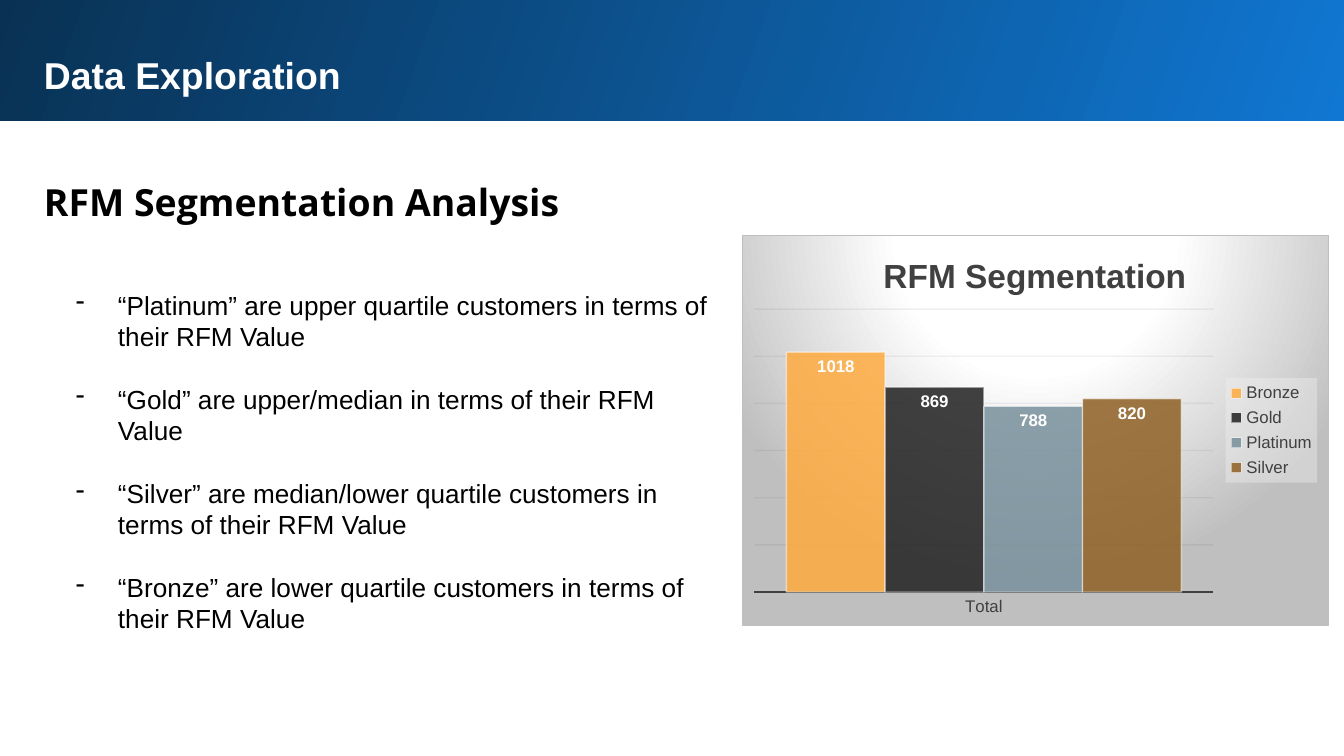
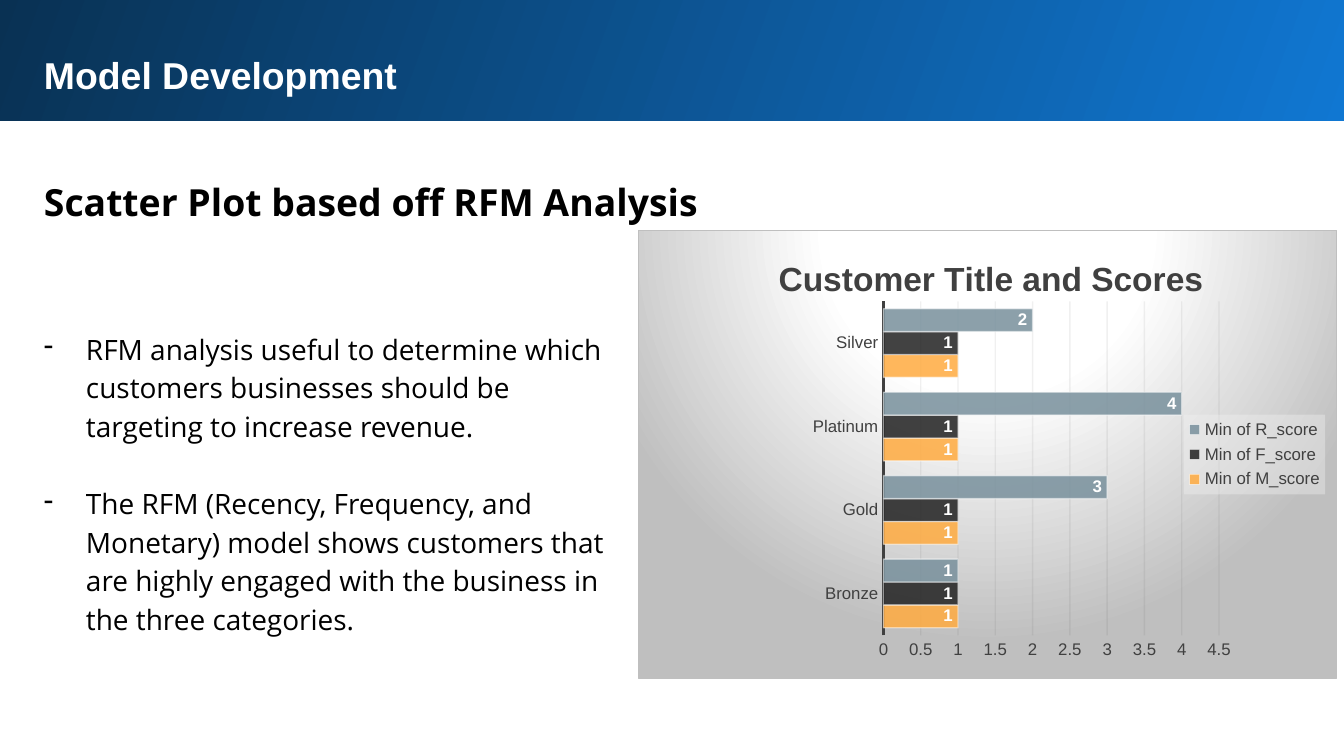
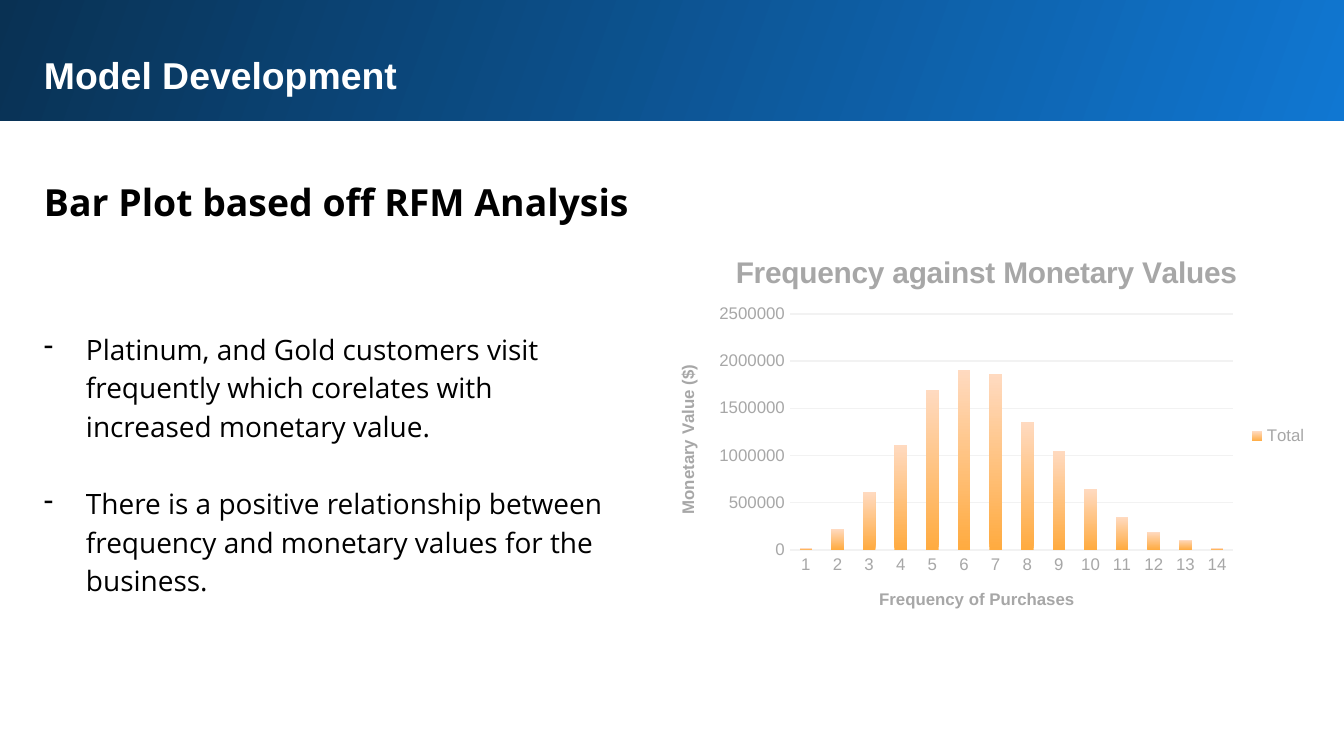
from dataclasses import dataclass

from pptx import Presentation
from pptx.chart.data import CategoryChartData
from pptx.dml.color import RGBColor
from pptx.enum.chart import XL_CHART_TYPE, XL_LABEL_POSITION, XL_LEGEND_POSITION, XL_TICK_MARK
from pptx.enum.shapes import MSO_SHAPE
from pptx.oxml import parse_xml
from pptx.oxml.ns import nsdecls
from pptx.util import Emu, Pt

COLUMN = XL_CHART_TYPE.COLUMN_CLUSTERED
BAR = XL_CHART_TYPE.BAR_CLUSTERED
INSIDE_END = XL_LABEL_POSITION.INSIDE_END
LEGEND_RIGHT = XL_LEGEND_POSITION.RIGHT
NO_TICK = XL_TICK_MARK.NONE
RECTANGLE = MSO_SHAPE.RECTANGLE

SCALE = 914400 / 134.4
WIDTH, HEIGHT = 1344, 756


def px(length):
    return Emu(round(length * SCALE))


def rgb(color):
    return RGBColor.from_string(color)


@dataclass(frozen=True)
class Theme:
    sans: str = "Arial"
    open_sans: str = "Open Sans"
    white: str = "FFFFFF"
    black: str = "000000"
    band_light: str = "1077D2"
    band_dark: str = "093153"
    dark_gray: str = "404040"
    light_gray: str = "A7A7A7"
    faint: str = "F2F2F2"
    grid: str = "0D0D0D"
    edge: str = "BFBFBF"
    orange: str = "FFAB40"
    peach: str = "FFDAC0"
    charcoal: str = "212121"
    slate: str = "78909C"
    brown: str = "8F6024"
    heading_size: float = 20
    body_size: float = 15
    small_body_size: float = 14
    chart_title_size: float = 18
    small_chart_title_size: float = 16
    chart_size: float = 10
    label_size: float = 9


THEME = Theme()


class Deck:
    def __init__(self, theme):
        self.theme = theme
        self.presentation = Presentation()
        self.presentation.slide_width = px(WIDTH)
        self.presentation.slide_height = px(HEIGHT)
        self.slide = None

    def start_slide(self, title, heading):
        theme = self.theme
        self.slide = self.presentation.slides.add_slide(self.presentation.slide_layouts[6])
        self.band()
        self.text((31, 39, 1259, 69), [title], theme.sans, theme.heading_size, theme.white, bold=True)
        self.text((31, 159, 1259, 75), [heading], theme.open_sans, theme.heading_size,
                  theme.black, bold=True, spacing=1.15)

    def band(self):
        shape = self.slide.shapes.add_shape(RECTANGLE, px(-3), px(-3), px(1351), px(124))
        shape.shadow.inherit = False
        shape.line.fill.background()
        self.gradient(shape.fill, self.theme.band_light, self.theme.band_dark, 160)

    def gradient(self, fill, first, last, angle):
        fill.gradient()
        fill.gradient_angle = angle
        for stop, color, position in zip(fill.gradient_stops, (first, last), (0, 1)):
            stop.color.rgb = rgb(color)
            stop.position = position

    def font(self, font, size, color, bold=False, name=None):
        font.name = name or self.theme.sans
        font.size = Pt(size)
        font.bold = bold
        font.color.rgb = rgb(color)

    def text(self, box, lines, name, size, color, bold=False, spacing=1.0, gap=0, inset=13, bullet=None):
        frame = self.slide.shapes.add_textbox(*map(px, box)).text_frame
        frame.word_wrap = True
        frame.margin_left = frame.margin_right = frame.margin_top = frame.margin_bottom = px(inset)
        frame.text = "\n".join(lines)
        for index, paragraph in enumerate(frame.paragraphs):
            paragraph.line_spacing = spacing
            paragraph.space_before = Pt(gap if index else 0)
            self.font(paragraph.runs[0].font, size, color, bold, name)
            if bullet:
                properties = paragraph._p.get_or_add_pPr()
                properties.set("marL", str(px(42)))
                properties.set("indent", str(px(-42)))
                properties.append(parse_xml(f'<a:buChar {nsdecls("a")} char="{bullet}"/>'))

    def bullets(self, lines):
        self.text((31, 314, 607, 337), lines, self.theme.open_sans, self.theme.body_size,
                  self.theme.black, spacing=1.15, gap=20.7, bullet="-")

    def chart(self, kind, box, plot_box, categories, series, gap, text_color):
        data = CategoryChartData()
        data.categories = categories
        for name, values in series:
            data.add_series(name, values)
        chart = self.slide.shapes.add_chart(kind, *map(px, box), data).chart
        self.font(chart.font, self.theme.chart_size, self.theme.black)
        chart.has_legend = True
        chart.legend.position = LEGEND_RIGHT
        chart.legend.include_in_layout = False
        self.font(chart.legend.font, self.theme.label_size, text_color)
        plot = chart.plots[0]
        plot.gap_width = gap
        plot.overlap = 0
        plot.vary_by_categories = False
        self.place(chart, "c:chart/c:plotArea", box, plot_box, 0)
        return chart

    def place(self, chart, target, box, spot, index):
        left, top, width, height = box
        node = chart.element.xpath(target)[0]
        for layout in node.xpath("c:layout"):
            node.remove(layout)
        shares = [(spot[0] - left) / width, (spot[1] - top) / height]
        shares += [length / whole for length, whole in zip(spot[2:], (width, height))]
        inner = '<c:layoutTarget val="inner"/>' if len(spot) == 4 else ""
        modes = '<c:xMode val="edge"/><c:yMode val="edge"/>'
        sizes = "".join(f'<c:{key} val="{share:.3f}"/>' for key, share in zip("xywh", shares))
        node.insert(index, parse_xml(
            f'<c:layout {nsdecls("c")}><c:manualLayout>{inner}{modes}{sizes}</c:manualLayout></c:layout>'))

    def chart_title(self, chart, text, box, spot, size, color):
        chart.has_title = True
        self.title_text(chart.chart_title, text, size, color)
        self.place(chart, "c:chart/c:title", box, spot, 1)

    def title_text(self, title, text, size, color):
        title.text_frame.text = text
        self.font(title.text_frame.paragraphs[0].runs[0].font, size, color, bold=True)

    def axes(self, chart, maximum, unit, text_color, line_color, line_width, grid_color):
        category, value = chart.category_axis, chart.value_axis
        value.minimum_scale, value.maximum_scale, value.major_unit = 0, maximum, unit
        for axis in (category, value):
            axis.major_tick_mark = axis.minor_tick_mark = NO_TICK
            self.font(axis.tick_labels.font, self.theme.label_size, text_color)
        category.format.line.color.rgb = rgb(line_color)
        category.format.line.width = Pt(line_width)
        value.format.line.fill.background()
        value.has_major_gridlines = True
        value.major_gridlines.format.line.color.rgb = rgb(grid_color)
        value.major_gridlines.format.line.width = Pt(0.75)

    def axis_title(self, chart, axis, tag, text, box, spot):
        self.title_text(axis.axis_title, text, self.theme.label_size, self.theme.light_gray)
        self.place(chart, f".//c:{tag}/c:title", box, spot, 1)

    def background(self, chart, fill, line):
        chart.element.xpath("c:txPr")[0].addprevious(parse_xml(
            f'<c:spPr {nsdecls("c", "a")}>{fill}<a:ln w="9525">{line}</a:ln></c:spPr>'))

    def solid(self, color, alpha=100):
        return f'<a:solidFill><a:srgbClr val="{color}"><a:alpha val="{alpha * 1000}"/></a:srgbClr></a:solidFill>'

    def spotlight_chart(self, kind, box, plot_box, categories, series, colors, title, spot, maximum, unit):
        theme = self.theme
        chart = self.chart(kind, box, plot_box, categories, series, 65, theme.dark_gray)
        self.chart_title(chart, title, box, spot, theme.chart_title_size, theme.dark_gray)
        self.axes(chart, maximum, unit, theme.dark_gray, theme.dark_gray, 1.5, theme.grid)
        for entry, color in zip(chart.plots[0].series, colors):
            entry.invert_if_negative = False
            entry.format.fill.solid()
            entry.format.fill.fore_color.rgb = rgb(color)
            entry.format.line.color.rgb = rgb(theme.white)
            entry.format.line.width = Pt(0.75)
            labels = entry.data_labels
            labels.show_value = True
            labels.position = INSIDE_END
            self.font(labels.font, theme.label_size, theme.white, bold=True)
        for target, alpha in (("c:ser/c:spPr/a:solidFill", 85), ("c:ser/c:spPr/a:ln/a:solidFill", 50),
                              ("c:majorGridlines/c:spPr/a:ln/a:solidFill", 5)):
            for color in chart.element.xpath(f".//{target}/a:srgbClr"):
                color.append(parse_xml(f'<a:alpha {nsdecls("a")} val="{alpha * 1000}"/>'))
        stops = "".join(f'<a:gs pos="{position * 1000}"><a:srgbClr val="{color}"/></a:gs>'
                        for position, color in ((0, theme.white), (39, theme.white), (100, theme.edge)))
        self.background(chart, f'<a:gradFill><a:gsLst>{stops}</a:gsLst><a:path path="circle">'
                        '<a:fillToRect l="50000" t="-80000" r="50000" b="180000"/></a:path></a:gradFill>',
                        self.solid(theme.edge))
        chart.element.xpath(".//c:legend/c:txPr")[0].addprevious(parse_xml(
            f'<c:spPr {nsdecls("c", "a")}>{self.solid(theme.faint, 39)}</c:spPr>'))
        return chart

    def frequency_chart(self, box, plot_box, values):
        theme = self.theme
        categories = [str(number) for number in range(1, len(values) + 1)]
        chart = self.chart(COLUMN, box, plot_box, categories, [("Total", values)], 150, theme.light_gray)
        self.chart_title(chart, "Frequency against Monetary Values", box, (730, 248),
                         theme.small_chart_title_size, theme.light_gray)
        self.axes(chart, 2500000, 500000, theme.light_gray, theme.faint, 0.75, theme.faint)
        self.axis_title(chart, chart.category_axis, "catAx", "Frequency of Purchases", box, (876, 585))
        self.axis_title(chart, chart.value_axis, "valAx", "Monetary Value ($)", box, (674, 362))
        chart.element.xpath(".//c:valAx/c:title//a:bodyPr")[0].set("rot", "-5400000")
        total = chart.plots[0].series[0]
        total.invert_if_negative = False
        self.gradient(total.format.fill, theme.orange, theme.peach, 90)
        self.background(chart, "<a:noFill/>", "<a:noFill/>")


deck = Deck(THEME)

deck.start_slide("Data Exploration", "RFM Segmentation Analysis")
deck.text((69, 282, 655, 362), [
    "“Platinum” are upper quartile customers in terms of their RFM Value",
    "“Gold” are upper/median in terms of their RFM Value",
    "“Silver” are median/lower quartile customers in terms of their RFM Value",
    "“Bronze” are lower quartile customers in terms of their RFM Value",
], THEME.sans, THEME.small_body_size, THEME.black, gap=16.8, inset=7, bullet="-")
segments = deck.spotlight_chart(
    COLUMN, (742, 235, 587, 391), (754, 309, 460, 284), ["Total"],
    [("Bronze", [1018]), ("Gold", [869]), ("Platinum", [788]), ("Silver", [820])],
    [THEME.orange, THEME.charcoal, THEME.slate, THEME.brown],
    "RFM Segmentation", (877, 247), 1200, 200)
segments.value_axis.visible = False

deck.start_slide("Model Development", "Scatter Plot based off RFM Analysis")
deck.bullets([
    "RFM analysis useful to determine which customers businesses should be targeting to increase revenue.",
    "The RFM (Recency, Frequency, and Monetary) model shows customers that are highly engaged "
    "with the business in the three categories.",
])
deck.spotlight_chart(
    BAR, (638, 230, 699, 449), (883, 301, 336, 335), ["Bronze", "Gold", "Platinum", "Silver"],
    [("Min of M_score", [1, 1, 1, 1]), ("Min of F_score", [1, 1, 1, 1]), ("Min of R_score", [1, 3, 4, 2])],
    [THEME.orange, THEME.charcoal, THEME.slate],
    "Customer Title and Scores", (772, 250), 4.5, 0.5)

deck.start_slide("Model Development", "Bar Plot based off RFM Analysis")
deck.bullets([
    "Platinum, and Gold customers visit frequently which corelates with increased monetary value.",
    "There is a positive relationship between frequency and monetary values for the business.",
])
deck.frequency_chart((649, 235, 672, 403), (790, 314, 443, 236), [
    20000, 220000, 610000, 1110000, 1690000, 1910000, 1860000,
    1360000, 1050000, 640000, 350000, 190000, 110000, 20000,
])

deck.presentation.save("out.pptx")
